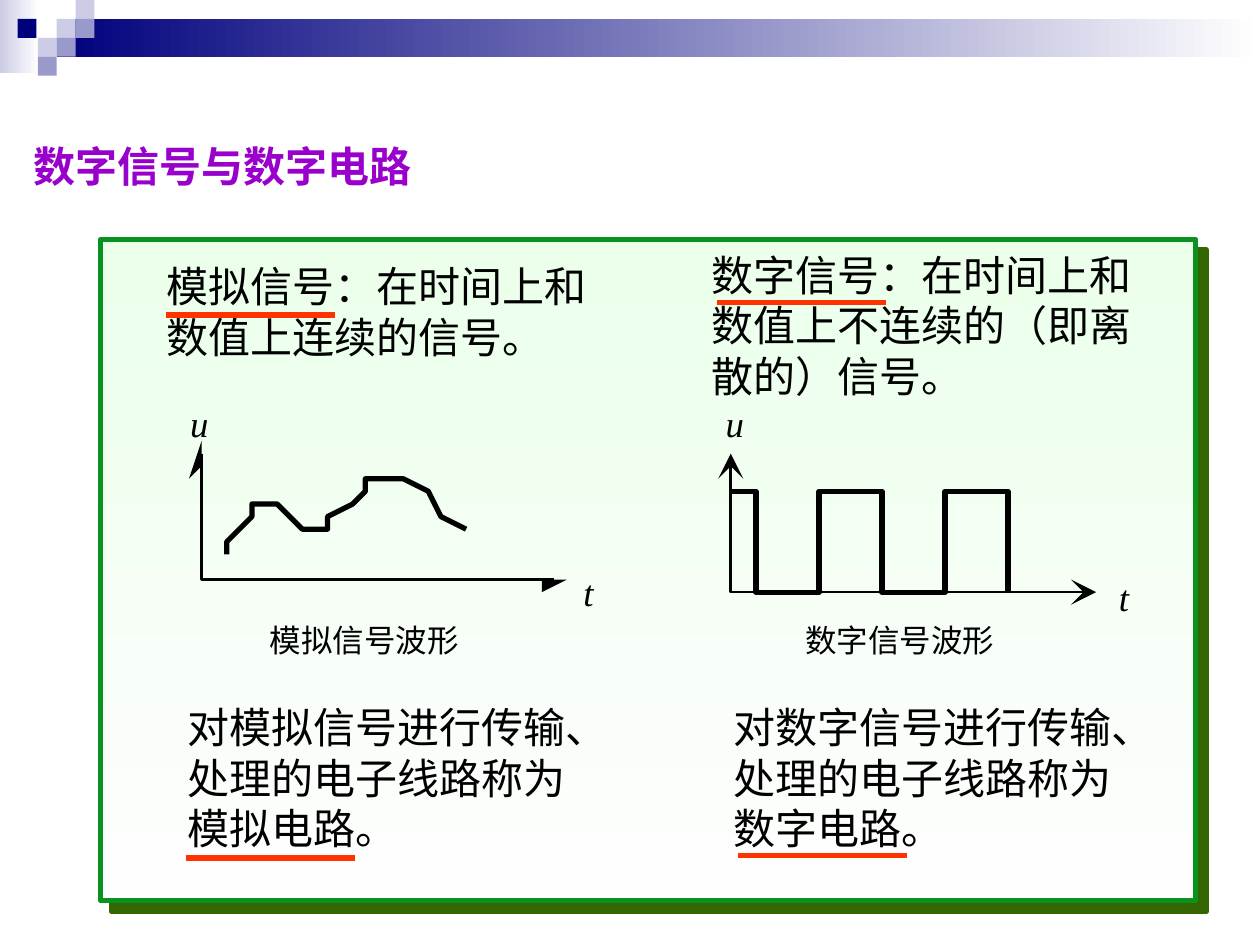
from dataclasses import dataclass

from lxml.etree import SubElement
from pptx import Presentation
from pptx.dml.color import RGBColor
from pptx.enum.shapes import MSO_CONNECTOR, MSO_SHAPE
from pptx.enum.text import MSO_AUTO_SIZE
from pptx.oxml.ns import qn
from pptx.util import Inches, Pt


@dataclass(frozen=True)
class Theme:
    white: str = "FFFFFF"
    navy: str = "00007D"
    pale: str = "CCCCE6"
    lilac: str = "9999CC"
    mint: str = "EBFFEB"
    panel_end: str = "FEFEFE"
    green: str = "07931E"
    shadow: str = "336600"
    red: str = "FF3300"
    purple: str = "9900CC"
    ink: str = "000000"
    body: int = 24
    symbol: int = 21
    caption: int = 18
    serif: str = "Times New Roman"
    sans: str = "Arial"
    chinese: str = "Noto Sans CJK SC"


THEME = Theme()
COLUMNS, ROWS = 100, 75  # The slide grid; every length below is in its cells
CELL = Inches(10) // COLUMNS


def cells(*lengths):
    return [round(length * CELL) for length in lengths]


def color(value):
    return RGBColor.from_string(value)


def add_text(slide, text, box, *, size=THEME.body, font=THEME.serif,
             fill=THEME.ink, bold=False, italic=False, wrap=True):
    shape = slide.shapes.add_textbox(*cells(*box))
    frame = shape.text_frame
    frame.word_wrap = wrap
    frame.auto_size = MSO_AUTO_SIZE.SHAPE_TO_FIT_TEXT
    if not wrap:
        frame.margin_left = frame.margin_right = 0
        frame.margin_top = frame.margin_bottom = 0
    run = frame.paragraphs[0].add_run()
    run.text = text
    run.font.size, run.font.name = Pt(size), font
    run.font.bold, run.font.italic = bold, italic
    run.font.color.rgb = color(fill)
    SubElement(run.font._element, qn("a:ea"), typeface=THEME.chinese)


def add_rectangle(slide, box, *fills, angle=180):
    shape = slide.shapes.add_shape(MSO_SHAPE.RECTANGLE, *cells(*box))
    shape.shadow.inherit = False
    shape.line.fill.background()
    if len(fills) == 1:
        shape.fill.solid()
        shape.fill.fore_color.rgb = color(fills[0])
    else:
        shape.fill.gradient()
        shape.fill.gradient_angle = angle
        for stop, value in zip(shape.fill.gradient_stops, fills):
            stop.color.rgb = color(value)
    return shape


def add_outline(slide, origin, points, line_width=None):
    """Draw an open line, or a filled outline when no line width is given."""
    placed = [(origin[0] + x, origin[1] + y) for x, y in points]
    builder = slide.shapes.build_freeform(*placed[0], scale=CELL)
    builder.add_line_segments(placed[1:], close=line_width is None)
    shape = builder.convert_to_shape()
    shape.shadow.inherit = False
    if line_width is None:
        shape.fill.solid()
        shape.fill.fore_color.rgb = color(THEME.ink)
        shape.line.fill.background()
    else:
        shape.fill.background()
        shape.line.color.rgb = color(THEME.ink)
        shape.line.width = Pt(line_width)


def add_underline(slide, left, top, length=13.4):
    line = slide.shapes.add_connector(
        MSO_CONNECTOR.STRAIGHT, *cells(left, top, left + length, top))
    line.line.color.rgb = color(THEME.red)
    line.line.width = Pt(3)
    SubElement(line._element.spPr, qn("a:effectLst"))


def add_header(slide):
    add_rectangle(slide, (0, 0, 3.1, 5.8), THEME.white, THEME.pale)
    add_rectangle(slide, (4.5, 1.5, 95.5, 3), THEME.white, THEME.navy)
    side = 1.5
    squares = [(3, 1, THEME.pale), (4, 0, THEME.pale), (4, 1, THEME.lilac),
               (2, 2, THEME.pale), (0.93, 1, THEME.navy),
               (3, 2, THEME.lilac), (2, 3, THEME.lilac)]
    for column, row, fill in squares:
        add_rectangle(slide, (column * side, row * side, side, side), fill)


def add_panel(slide):
    panel = add_rectangle(slide, (8, 19, 86.9, 52.5),
                          THEME.mint, THEME.panel_end, angle=270)
    panel.line.color.rgb = color(THEME.green)
    panel.line.width = Pt(3)
    effects = panel._element.spPr.find(qn("a:effectLst"))
    shadow = SubElement(effects, qn("a:outerShdw"), dist=str(Pt(8.5)),
                        dir=str(45 * 60000), algn="ctr", rotWithShape="0")
    SubElement(shadow, qn("a:srgbClr"), val=THEME.shadow)


def add_graph(slide, origin, wave, caption):
    x, y = origin
    # Axes and their arrowheads
    add_outline(slide, origin, [(0, -10), (0, 0), (28.1, 0)], 1.5)
    add_outline(slide, origin,
                [(0.8, -8.9), (0, -11), (-0.6, -8.9), (0, -9.6)])
    add_outline(slide, origin,
                [(27.1, 0.9), (29.1, 0), (27.1, -0.6), (27.7, 0)])
    # Signal and labels
    add_outline(slide, origin, wave, 3)
    for symbol, box in (("u", (x - 0.4, 31.8, 1.5, 3.5)),
                        ("t", (x + 30.8, y - 1.2, 0.8, 3.5))):
        add_text(slide, symbol, box, size=THEME.symbol, italic=True, wrap=False)
    add_text(slide, caption, (x + 5.9, 49.3, 15, 3), size=THEME.caption,
             font=THEME.chinese, wrap=False)


def analog_wave():
    return [(2.5, -1.9), (3, -3.3), (3.6, -4.6), (4.2, -5.6), (5, -6.2),
            (5.4, -6.2), (6, -6), (7.2, -5.2), (8.6, -4.4), (9.2, -4.1),
            (9.8, -4.1), (10.4, -4.4), (11, -5), (12.1, -6.2), (13.3, -7.7),
            (13.9, -8.1), (14.7, -8.3), (16.3, -7.9), (18.1, -7.1),
            (19.9, -5.6), (21.9, -4.1)]


def digital_wave(high=-7.9, first_edge=2.4, half_period=4.85, edges=5):
    points, level = [(0, high)], high
    for edge in range(edges):
        x = first_edge + edge * half_period
        points.append((x, level))
        level = high - level
        points.append((x, level))
    return points


def main():
    presentation = Presentation()
    presentation.slide_width = COLUMNS * CELL
    presentation.slide_height = ROWS * CELL
    slide = presentation.slides.add_slide(presentation.slide_layouts[6])

    add_header(slide)
    add_panel(slide)
    add_text(slide, "数字信号与数字电路", (1.7, 10.7, 43.3, 5),
             font=THEME.sans, fill=THEME.purple, bold=True)

    # Definitions of the two signals
    add_text(slide, "模拟信号：在时间上和数值上连续的信号。",
             (12.2, 20.2, 35.8, 9))
    add_text(slide, "数字信号：在时间上和数值上不连续的（即离散的）信号。",
             (55.5, 19.3, 36.7, 13))

    # Waveforms
    add_graph(slide, (15.5, 46.4), analog_wave(), "模拟信号波形")
    add_graph(slide, (58, 46.8), digital_wave(), "数字信号波形")

    # Definitions of the two circuits
    for left, kind in ((13.9, "模拟"), (57.2, "数字")):
        add_text(slide, f"对{kind}信号进行传输、处理的电子线路称为{kind}电路。",
                 (left, 55.2, 34.2, 13))

    # Underlined terms
    for left, top in ((13.2, 25), (56.9, 24), (14.8, 68.1), (58.6, 67.9)):
        add_underline(slide, left, top)

    presentation.save("out.pptx")


if __name__ == "__main__":
    main()
